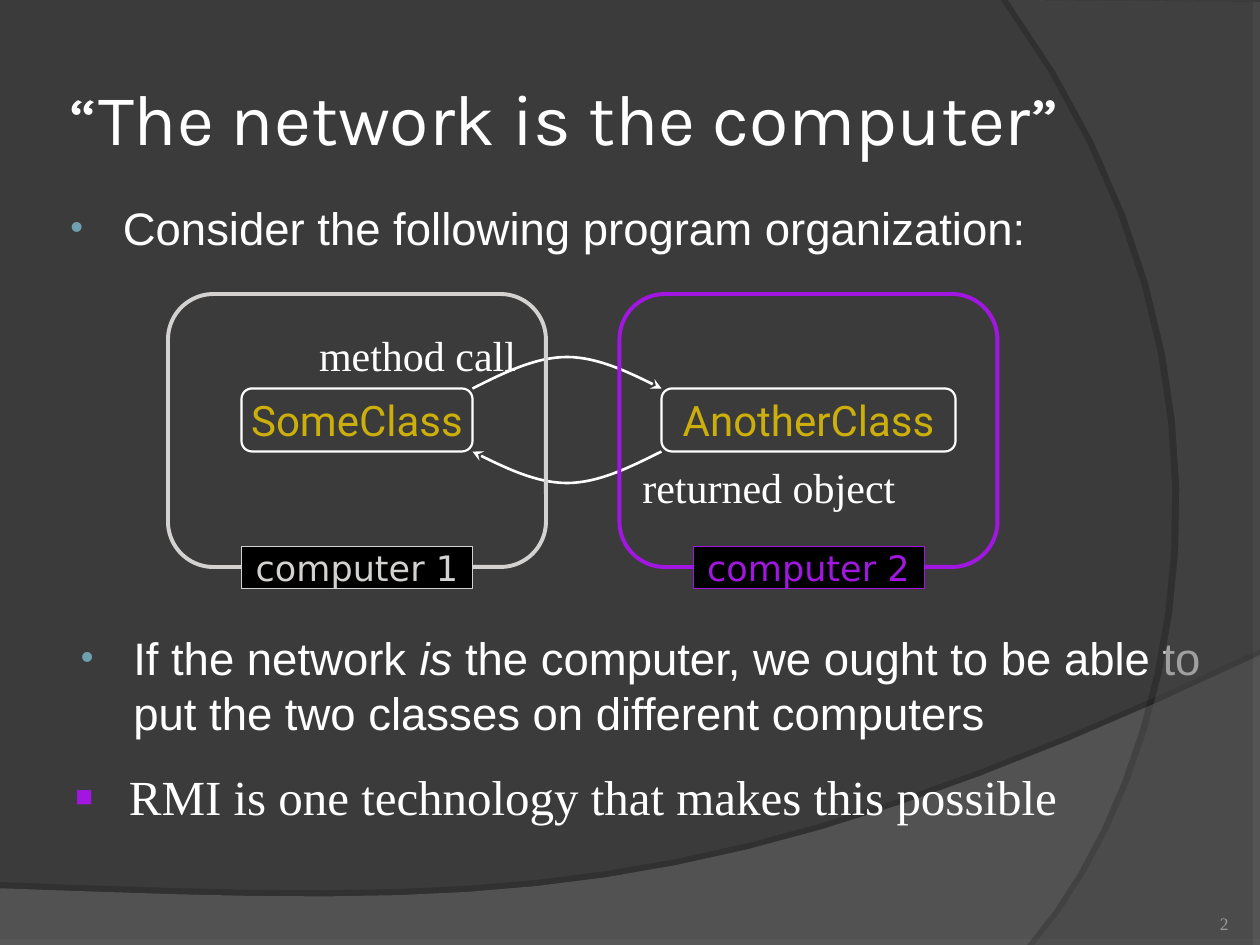
from lxml.etree import SubElement
from pptx import Presentation
from pptx.dml.color import RGBColor as Rgb
from pptx.enum.shapes import MSO_SHAPE as Shape
from pptx.enum.text import MSO_ANCHOR as Anchor, MSO_AUTO_SIZE as AutoSize, PP_ALIGN as Align
from pptx.oxml.ns import qn
from pptx.util import Pt

PX = 7620
COLORS = {
    "background": "3B3B3B", "wave": "7C7C7C", "arc": "595959", "shadow": "000000",
    "text": "FFFFFF", "bullet": "6EA0B0", "class": "CCAF0A", "number": "9B9A98",
    "label": "000000", "silver": "D4D2D0", "purple": "A116E0",
}


def color(name):
    """Return the named colour."""
    return Rgb.from_string(COLORS[name])


def emu(box):
    """Turn pixel lengths into EMU."""
    return [round(length * PX) for length in box]


def apply(target, **formats):
    """Set each format value as an attribute of the target."""
    for name, value in formats.items():
        setattr(target, name, value)


def add_tag(parent, tag, **attributes):
    """Append a DrawingML element."""
    return SubElement(parent, qn(f"a:{tag}"), {key: str(value) for key, value in attributes.items()})


def style(shape, fill=None, line=None, width=1):
    """Set fill and outline, and drop the shadow."""
    shape.shadow.inherit = False
    if fill:
        shape.fill.solid()
        shape.fill.fore_color.rgb = color(fill)
    else:
        shape.fill.background()
    if line:
        shape.line.color.rgb = color(line)
        shape.line.width = Pt(width)
    else:
        shape.line.fill.background()


def write(shape, runs, font, size, ink="text", insets=(12, 6, 12, 6),
          align=Align.LEFT, anchor=Anchor.TOP, wrap=True):
    """Fill a shape with one paragraph of (text, italic) runs."""
    frame = shape.text_frame
    left, top, right, bottom = emu(insets)
    apply(frame, auto_size=AutoSize.NONE, word_wrap=wrap, vertical_anchor=anchor,
          margin_left=left, margin_top=top, margin_right=right, margin_bottom=bottom)
    paragraph = frame.paragraphs[0]
    apply(paragraph, alignment=align, space_before=Pt(0))
    for text, italic in runs:
        run = paragraph.add_run()
        run.text = text
        apply(run.font, name=font, size=Pt(size), italic=italic)
        run.font.color.rgb = color(ink)
    return paragraph


def set_bullet(paragraph, character, ink, percent, indent, hang):
    """Give a paragraph a coloured bullet with a hanging indent."""
    properties = paragraph._p.get_or_add_pPr()
    properties.set("marL", str(indent * PX))
    properties.set("indent", str(-hang * PX))
    add_tag(add_tag(properties, "buClr"), "srgbClr", val=COLORS[ink])
    add_tag(properties, "buSzPct", val=percent * 1000)
    add_tag(properties, "buFont", typeface="Arial")
    add_tag(properties, "buChar", char=character)


def place(shape, box):
    """Move and size a shape."""
    left, top, width, height = emu(box)
    apply(shape, left=left, top=top, width=width, height=height)


def sample_curve(points, steps=16):
    """Sample a chain of cubic Bezier curves."""
    result = [points[0]]
    for first in range(0, len(points) - 1, 3):
        a, b, c, d = points[first:first + 4]
        for step in range(1, steps + 1):
            t = step / steps
            weights = ((1 - t) ** 3, 3 * t * (1 - t) ** 2, 3 * t * t * (1 - t), t ** 3)
            result.append(tuple(sum(weight * point[axis] for weight, point in zip(weights, (a, b, c, d)))
                                for axis in (0, 1)))
    return result


def add_outline(slide, points, close):
    """Draw a freeform through points given in pixels."""
    first, *others = [tuple(emu(point)) for point in points]
    builder = slide.shapes.build_freeform(*first, scale=1)
    builder.add_line_segments(others, close=close)
    return builder.convert_to_shape()


def add_backdrop(slide, box):
    """Draw the two translucent curved panels."""
    x, y, width, height = box
    slide.background.fill.solid()
    slide.background.fill.fore_color.rgb = color("background")
    right, bottom = x + width, y + height
    wave = sample_curve([(right, y + 624), (x + 671, y + 875), (x + 469, y + 863), (x, y + 846)])
    arc = sample_curve([(x + 985, bottom), (x + 1122, y + 743), (x + 1222, y + 360), (x + 960, y)])
    panels = [
        (wave + [(x, bottom), (right, bottom)], "wave", 45, 35, 3.5, 270),
        (arc + [(right, y + 2), (right, bottom)], "arc", 40, 45, 4, 180),
    ]
    for points, fill, opacity, shade, distance, direction in panels:
        panel = add_outline(slide, points, True)
        style(panel, fill)
        properties = panel.element.spPr
        solid = properties.find(qn("a:solidFill")).find(qn("a:srgbClr"))
        add_tag(solid, "alpha", val=opacity * 1000)
        shadow = add_tag(properties.find(qn("a:effectLst")), "outerShdw", blurRad=0,
                         dist=int(Pt(distance)), dir=direction * 60000, algn="ctr", rotWithShape=0)
        tint = add_tag(shadow, "srgbClr", val=COLORS["shadow"])
        add_tag(tint, "alpha", val=shade * 1000)


def add_note(slide, box, text, font="Times New Roman", size=24, **options):
    """Add a text box and return its paragraph."""
    return write(slide.shapes.add_textbox(*emu(box)), [(text, None)], font, size, **options)


def fill_bullet(placeholder, box, runs):
    """Place a body placeholder with one bulleted paragraph."""
    place(placeholder, box)
    paragraph = write(placeholder, runs, "Arial", 26, insets=(12, 10, 12, 6))
    set_bullet(paragraph, "•", "bullet", 80, 55, 50)


def add_swing(slide, x, y, width, rise):
    """Draw a curved arrow that rises and comes back to its level."""
    profile = (0, 0.5, 1, 1, 1, 0.5, 0)
    points = [(x + width * step / 6, y + rise * part) for step, part in enumerate(profile)]
    arrow = add_outline(slide, sample_curve(points), False)
    style(arrow, line="text", width=1.5)
    add_tag(arrow.line._get_or_add_ln(), "tailEnd", type="stealth")


def add_block(slide, kind, box, text, font, size, ink, **look):
    """Add a shape with one centred line of text."""
    block = slide.shapes.add_shape(kind, *emu(box))
    style(block, **look)
    write(block, [(text, None)], font, size, ink, align=Align.CENTER, anchor=Anchor.MIDDLE, wrap=False)


def add_computer(slide, box, ink, label, class_name, class_left, class_width):
    """Draw a computer with its class and its name on the lower edge."""
    x, y, width, height = box
    add_block(slide, Shape.ROUNDED_RECTANGLE, (x + class_left, y + 90, class_width, 60),
              class_name, "Roboto", 24, "class", line="text", width=1.25)
    style(slide.shapes.add_shape(Shape.ROUNDED_RECTANGLE, *emu(box)), line=ink, width=2.25)
    add_block(slide, Shape.RECTANGLE, (x + 70, y + height - 20, 220, 40),
              label, "DejaVu Sans", 20, ink, fill="label", line=ink, width=0.25)


def add_diagram(slide, box):
    """Draw two computers whose classes call each other."""
    x, y, width, height = box
    add_swing(slide, x + 290, y + 90, 180, -30)
    add_swing(slide, x + 470, y + 150, -180, 30)
    add_note(slide, (x + 132, y + 28, 220, 60), "method call")
    add_note(slide, (x + 440, y + 154, 280, 60), "returned object")
    add_computer(slide, (x, y, 360, height), "silver", "computer 1", "SomeClass", 70, 220)
    add_computer(slide, (x + width - 360, y, 360, height), "purple", "computer 2", "AnotherClass", 40, 280)


def main():
    """Build and save the slide."""
    presentation = Presentation()
    apply(presentation, slide_width=1200 * PX, slide_height=900 * PX)
    slide = presentation.slides.add_slide(presentation.slide_layouts[3])
    add_backdrop(slide, (0, 0, 1200, 900))
    title = slide.shapes.title
    place(title, (60, 36, 980, 150))
    write(title, [("“The network is the computer”", None)], "Karla", 41,
          insets=(6, 6, 6, 6), anchor=Anchor.MIDDLE)
    fill_bullet(slide.placeholders[1], (50, 180, 1100, 80),
                [("Consider the following program organization:", None)])
    fill_bullet(slide.placeholders[2], (60, 590, 1100, 130),
                [("If the network ", None), ("is", True),
                 (" the computer, we ought to be able to put the two classes on different computers", None)])
    add_diagram(slide, (160, 280, 790, 260))
    technology = add_note(slide, (60, 724, 1080, 62), "RMI is one technology that makes this possible", size=28)
    set_bullet(technology, "■", "purple", 60, 51, 51)
    add_note(slide, (1070, 842, 100, 48), "2", size=10, ink="number", insets=(0, 0, 0, 0),
             align=Align.RIGHT, anchor=Anchor.BOTTOM)
    presentation.save("out.pptx")


if __name__ == "__main__":
    main()
